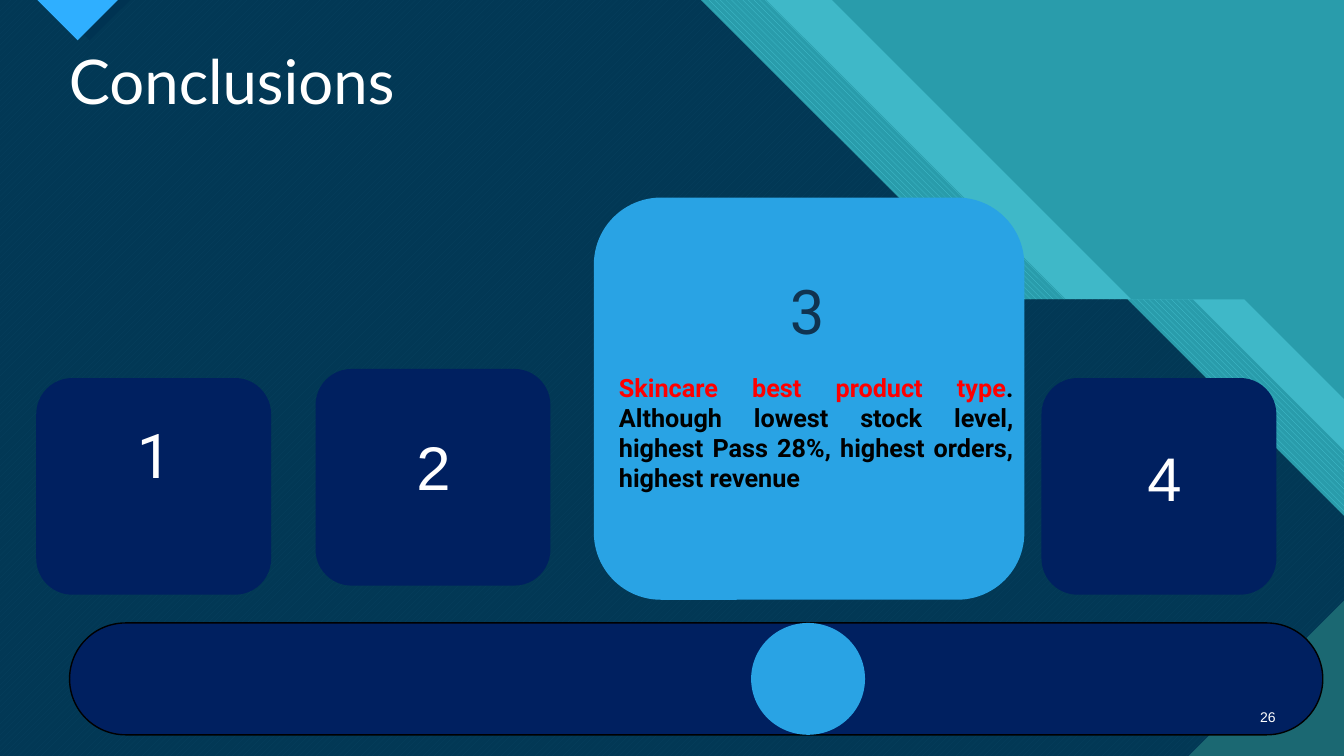
from lxml import etree
from pptx import Presentation
from pptx import util as u
from pptx.dml.color import RGBColor
from pptx.enum import dml, shapes, text
from pptx.oxml import ns

COLORS = {
    "teal": "299CAB", "aqua": "47C3D3", "deep_teal": "1B6872", "night": "003352",
    "azure": "2FAFFF", "navy": "002060", "sky": "29A3E4", "ink": "103350",
    "white": "FFFFFF", "black": "000000", "red": "FF0000",
}
WIDTH, HEIGHT = 13.33, 7.5
DROP = 2.97


def color(name):
    """Return the named colour."""
    return RGBColor.from_string(COLORS[name])


def paint(shape, fill, alpha=None):
    """Give a shape a solid fill, without line or shadow."""
    shape.shadow.inherit = False
    shape.line.fill.background()
    shape.fill.solid()
    shape.fill.fore_color.rgb = color(fill)
    if alpha:
        tone = shape.element.spPr.find(".//" + ns.qn("a:srgbClr"))
        etree.SubElement(tone, ns.qn("a:alpha"), val=str(alpha * 1000))


def hatch(shape, pattern, front, back):
    """Give a shape a patterned fill."""
    shape.fill.patterned()
    shape.fill.pattern = pattern
    shape.fill.fore_color.rgb = color(front)
    shape.fill.back_color.rgb = color(back)


def add_polygon(slide, points, fill, alpha=None):
    """Draw a closed outline through points in inches."""
    corners = [(u.Inches(x), u.Inches(y)) for x, y in points]
    builder = slide.shapes.build_freeform(*corners[0])
    builder.add_line_segments(corners[1:], close=True)
    polygon = builder.convert_to_shape()
    paint(polygon, fill, alpha)
    return polygon


def add_slope(slide, edge, shelf, fill, alpha=None):
    """Draw a field whose right edge falls at 45 degrees with one level shelf."""
    shelf_end = edge + DROP + shelf
    points = [(0, 0), (edge, 0), (edge + DROP, DROP), (shelf_end, DROP),
              (WIDTH, DROP + WIDTH - shelf_end), (WIDTH, HEIGHT), (0, HEIGHT)]
    return add_polygon(slide, points, fill, alpha)


def add_scenery(slide):
    """Draw the sloping background fields and the corner triangles."""
    slide.background.fill.solid()
    slide.background.fill.fore_color.rgb = color("teal")
    add_slope(slide, 8.25, 1.12, "aqua", 74)
    stripes = add_slope(slide, 7.6, 1.26, "teal")
    hatch(stripes, dml.MSO_PATTERN.WIDE_DOWNWARD_DIAGONAL, "aqua", "teal")
    texture = add_slope(slide, 6.95, 1.26, "deep_teal")
    hatch(texture, dml.MSO_PATTERN.WIDE_UPWARD_DIAGONAL, "aqua", "deep_teal")
    add_slope(slide, 6.95, 1.26, "night", 90)
    for left, fill in ((0.49, "night"), (0.37, "azure")):
        add_polygon(slide, [(left, 0), (left + 0.4, 0.4), (left + 0.8, 0)], fill)
    add_polygon(slide, [(11.79, HEIGHT), (WIDTH, HEIGHT), (WIDTH, 5.96)], "deep_teal")


def add_block(slide, kind, box, fill):
    """Draw a filled preset shape."""
    block = slide.shapes.add_shape(kind, *map(u.Inches, box))
    paint(block, fill)
    return block


def write(shape, runs, size, font, align, bold=False):
    """Fill a shape with one paragraph of coloured runs."""
    frame = shape.text_frame
    frame.word_wrap = True
    frame.auto_size = text.MSO_AUTO_SIZE.NONE
    frame.vertical_anchor = text.MSO_ANCHOR.TOP
    paragraph = frame.paragraphs[0]
    paragraph.alignment = align
    for words, tone in runs:
        run = paragraph.add_run()
        run.text = words
        run.font.size = u.Pt(size)
        run.font.name = font
        run.font.bold = bold
        run.font.color.rgb = color(tone)


def add_label(slide, box, runs, size, font, align, bold=False):
    """Add a text box and return it."""
    label = slide.shapes.add_textbox(*map(u.Inches, box))
    write(label, runs, size, font, align, bold)
    return label


def add_number_card(slide, box, number, number_center, number_top, font):
    """Draw a small card; the number is placed relative to its corner."""
    left, top = box[:2]
    add_block(slide, shapes.MSO_SHAPE.ROUNDED_RECTANGLE, box, "navy")
    label_box = (left + number_center - 0.55, top + number_top, 1.1, 0.84)
    add_label(slide, label_box, [(number, "white")], 44, font, text.PP_ALIGN.CENTER)


def add_feature_card(slide, box):
    """Draw the large card with its number and finding."""
    left, top = box[:2]
    add_block(slide, shapes.MSO_SHAPE.ROUNDED_RECTANGLE, box, "sky")
    add_label(slide, (left + 0.64, top + 0.7, 2.95, 0.84), [("3", "ink")],
              44, "Roboto", text.PP_ALIGN.CENTER)
    finding = [
        ("Skincare best product type", "red"),
        (". Although lowest stock level, highest Pass 28%, highest orders, "
         "highest revenue", "black"),
    ]
    add_label(slide, (left + 0.15, top + 1.68, 4.11, 1.31), finding,
              18, "Roboto", text.PP_ALIGN.JUSTIFY, bold=True)


def add_slider(slide, box):
    """Draw the slider bar with its knob under the large card."""
    left, top, _, height = box
    bar = add_block(slide, shapes.MSO_SHAPE.ROUNDED_RECTANGLE, box, "navy")
    bar.adjustments[0] = 0.5
    bar.line.color.rgb = color("black")
    bar.line.width = u.Pt(1)
    add_block(slide, shapes.MSO_SHAPE.OVAL, (left + 6.76, top, 1.13, height), "sky")


def add_title(slide, box):
    """Place the title in front of the scenery."""
    title = slide.shapes.title
    title.left, title.top, title.width, title.height = map(u.Inches, box)
    write(title, [("Conclusions", "white")], 44, "Lato", text.PP_ALIGN.CENTER)
    title.element.getparent().append(title.element)


def add_page_number(slide, box):
    """Write the page number."""
    label = add_label(slide, box, [("26", "white")], 10, "Arial", text.PP_ALIGN.RIGHT)
    label.text_frame.vertical_anchor = text.MSO_ANCHOR.MIDDLE


def main():
    """Build and save the slide."""
    presentation = Presentation()
    presentation.slide_width = u.Inches(WIDTH)
    presentation.slide_height = u.Inches(HEIGHT)
    slide = presentation.slides.add_slide(presentation.slide_layouts[5])
    add_scenery(slide)
    add_slider(slide, (0.69, 6.18, 12.43, 1.11))
    add_number_card(slide, (0.36, 3.75, 2.33, 2.15), "1", 1.17, 0.34, "Roboto")
    add_number_card(slide, (3.13, 3.66, 2.33, 2.15), "2", 1.17, 0.55, "Arial")
    add_number_card(slide, (10.33, 3.75, 2.33, 2.15), "4", 1.22, 0.57, "Arial")
    add_feature_card(slide, (5.89, 1.96, 4.27, 3.99))
    add_title(slide, (-0.65, 0.38, 5.9, 1.58))
    add_page_number(slide, (12.31, 6.91, 0.44, 0.4))
    presentation.save("out.pptx")


if __name__ == "__main__":
    main()
